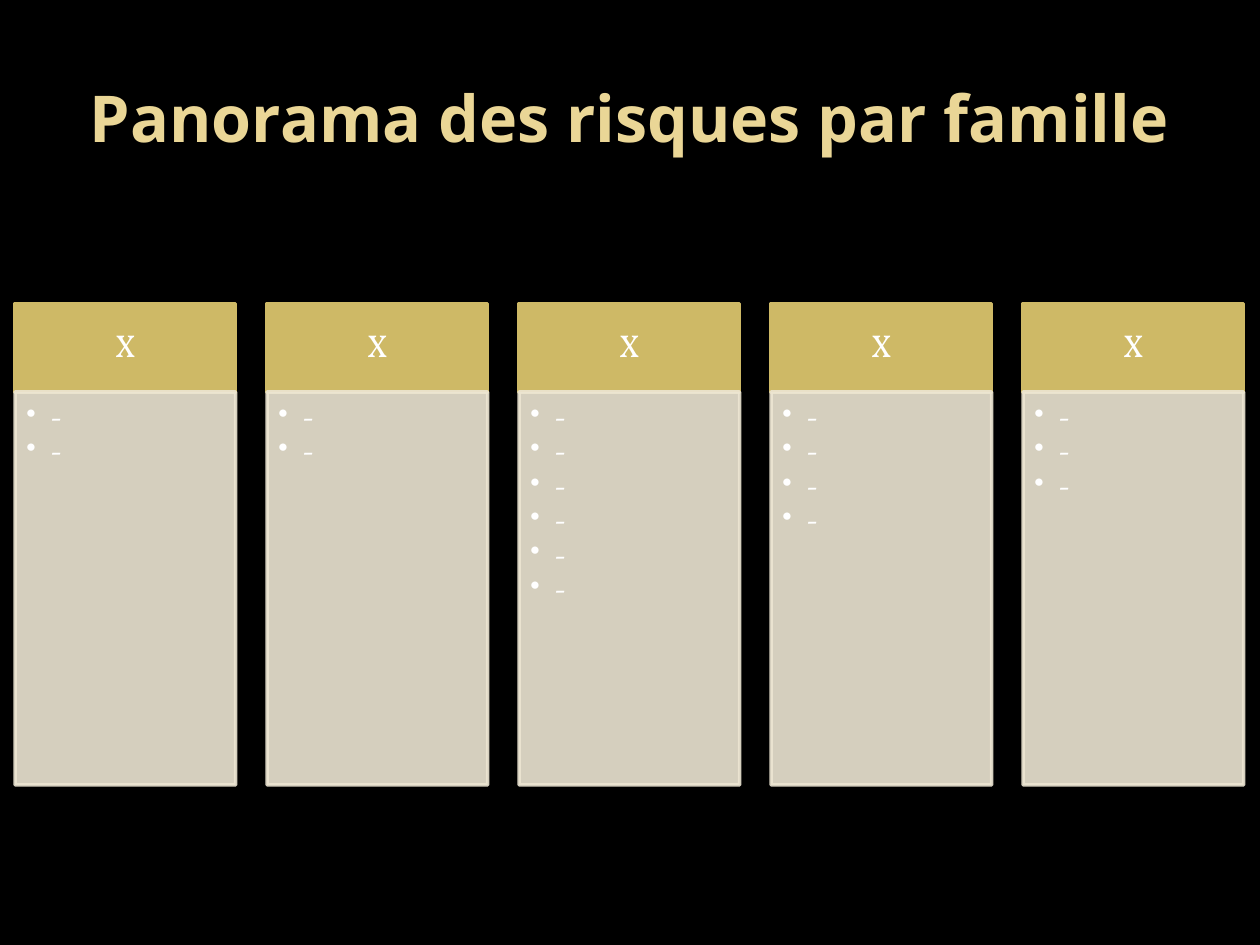
from lxml import etree
from pptx import Presentation
from pptx import util as u
from pptx.dml.color import RGBColor
from pptx.enum import shapes, text
from pptx.oxml.ns import qn

COLORS = {
    "background": "000000",
    "title": "EAD696",
    "header": "CEB966",
    "body": "EDE6D3",
    "text": "FFFFFF",
}
RISK_COUNTS = [2, 2, 6, 4, 3]


def add_box(slide, left, top, height, color, margins):
    shape = slide.shapes.add_shape(
        shapes.MSO_SHAPE.RECTANGLE,
        u.Inches(left), u.Inches(top), u.Inches(1.75), u.Inches(height))
    shape.shadow.inherit = False
    shape.fill.solid()
    shape.fill.fore_color.rgb = RGBColor.from_string(COLORS[color])
    shape.line.color.rgb = RGBColor.from_string(COLORS[color])
    shape.line.width = u.Pt(2)
    frame = shape.text_frame
    frame.word_wrap = True
    (frame.margin_left, frame.margin_top,
     frame.margin_right, frame.margin_bottom) = map(u.Inches, margins)
    return shape


def style_paragraph(paragraph, font, size, color, alignment):
    paragraph.alignment = alignment
    for run in paragraph.runs:
        run.font.name = font
        run.font.size = u.Pt(size)
        run.font.color.rgb = RGBColor.from_string(COLORS[color])


presentation = Presentation()
presentation.slide_width = u.Inches(10)
presentation.slide_height = u.Inches(7.5)
slide = presentation.slides.add_slide(presentation.slide_layouts[6])
slide.background.fill.solid()
slide.background.fill.fore_color.rgb = RGBColor.from_string(COLORS["background"])

title = slide.shapes.add_textbox(
    u.Inches(0.5), u.Inches(0.3), u.Inches(9), u.Inches(1.25))
title.text_frame.word_wrap = True
title.text_frame.vertical_anchor = text.MSO_ANCHOR.MIDDLE
title.text_frame.text = "Panorama des risques par famille"
paragraph = title.text_frame.paragraphs[0]
style_paragraph(paragraph, "Open Sans", 36.9, "title", text.PP_ALIGN.CENTER)
paragraph.runs[0].font.bold = True

for column, risk_count in enumerate(RISK_COUNTS):
    left = 0.12 + 2 * column

    header = add_box(slide, left, 2.41, 0.7, "header", (0.14, 0.08, 0.14, 0.08))
    header.text_frame.vertical_anchor = text.MSO_ANCHOR.MIDDLE
    header.text_frame.text = "X"
    paragraph = header.text_frame.paragraphs[0]
    paragraph.line_spacing = 0.9
    style_paragraph(paragraph, "Vollkorn", 18, "text", text.PP_ALIGN.CENTER)

    body = add_box(slide, left, 3.11, 3.12, "body", (0.09, 0.09, 0.12, 0.14))
    for color in body.element.spPr.iter(qn("a:srgbClr")):
        etree.SubElement(color, qn("a:alpha"), val="90000")
    body.text_frame.vertical_anchor = text.MSO_ANCHOR.TOP
    body.text_frame.text = "\n".join(["-"] * risk_count)
    for paragraph in body.text_frame.paragraphs:
        paragraph.level = 1
        paragraph.line_spacing = 0.9
        paragraph.space_after = u.Pt(2.4)
        style_paragraph(paragraph, "Vollkorn", 16, "text", text.PP_ALIGN.LEFT)
        properties = paragraph._p.get_or_add_pPr()
        properties.set("marL", str(u.Inches(0.19)))
        properties.set("indent", str(u.Inches(-0.19)))
        etree.SubElement(properties, qn("a:buChar"), char="•")

presentation.save("out.pptx")
